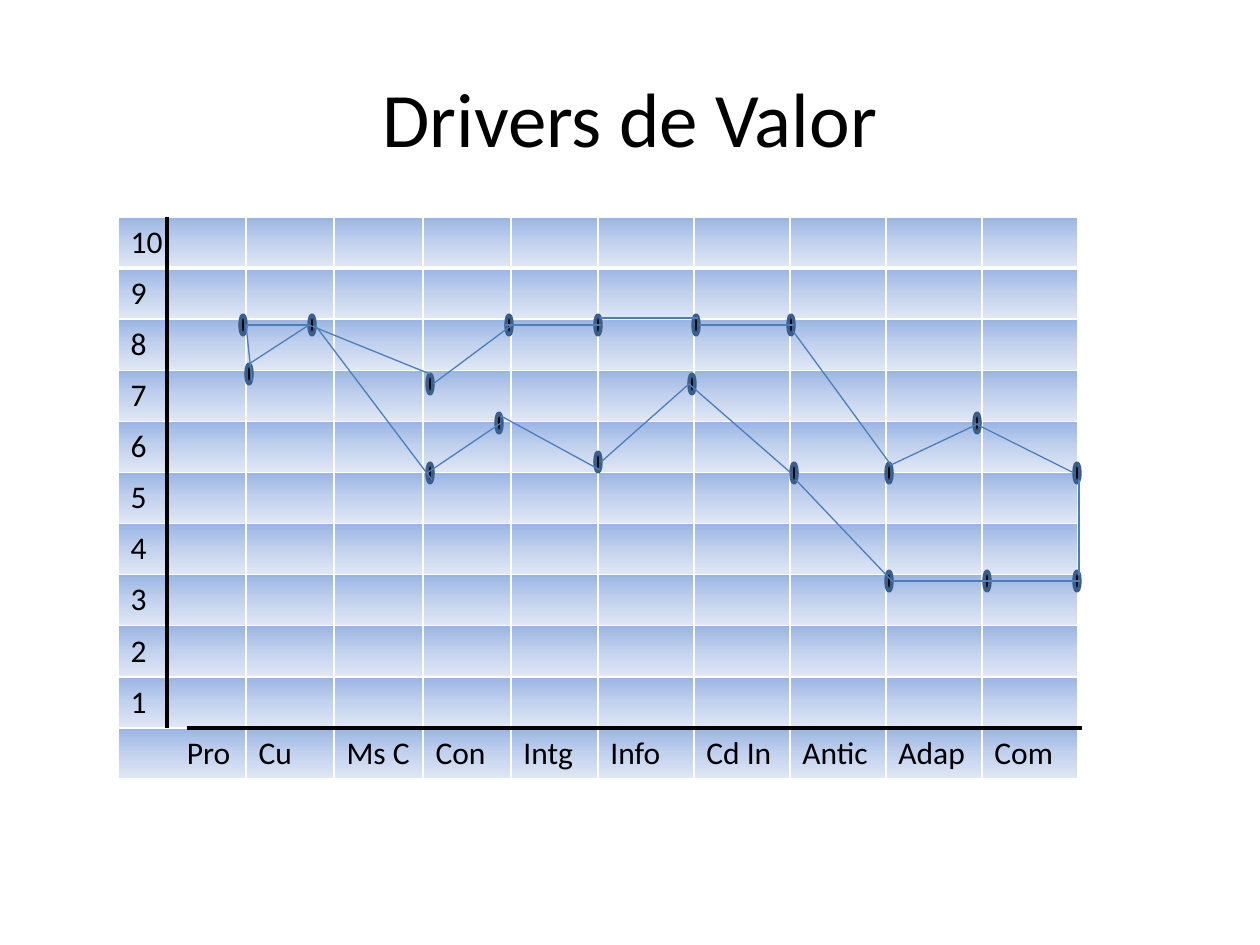
from lxml.etree import SubElement
from pptx import Presentation
from pptx.dml.color import RGBColor
from pptx.enum.shapes import MSO_CONNECTOR, MSO_SHAPE
from pptx.enum.text import MSO_ANCHOR, PP_ALIGN
from pptx.oxml import parse_xml
from pptx.oxml.ns import nsdecls, qn
from pptx.util import Emu, Pt

BLACK = RGBColor(0x00, 0x00, 0x00)
WHITE = RGBColor(0xFF, 0xFF, 0xFF)
DOT_EDGE = RGBColor(0x3A, 0x5F, 0x8C)
CURVE = RGBColor(0x4B, 0x7E, 0xBC)
CELL_STOPS = [
    (0, RGBColor(0x9A, 0xB5, 0xE4)),
    (50, RGBColor(0xC2, 0xD1, 0xED)),
    (100, RGBColor(0xE1, 0xE8, 0xF5)),
]

GRID_LEFT, GRID_TOP, ROW_H = 118, 217, 51
COL_WIDTHS = [128, 88, 89, 88, 87] + [96] * 5
SCORES = [str(n) for n in range(10, 0, -1)]
DRIVERS = ["Pro", "Cu", "Ms C", "Con", "Intg", "Info", "Cd In", "Antic", "Adap", "Com"]
PRO_INDENT = 69

DOT_W, DOT_H = 6, 20
DOT_CENTRES = [
    (249, 374), (243, 325), (312, 325), (430, 473), (430, 384), (499, 423),
    (509, 325), (598, 462), (598, 325), (692, 384), (696, 325), (794, 473),
    (791, 325), (889, 581), (889, 473), (987, 581), (977, 423), (1077, 473),
    (1077, 581),
]
AXES = [(167, 217, 167, 728), (1082, 728, 187, 728)]
UPPER_CURVE = [
    (246, 325, 309, 325), (309, 325, 430, 374), (433, 384, 512, 325),
    (505, 325, 601, 325), (600, 318, 698, 318), (699, 325, 794, 325),
    (793, 331, 891, 465), (980, 423, 891, 465), (1074, 473, 974, 423),
]
LOWER_CURVE = [
    (249, 364, 309, 325), (315, 325, 432, 480), (501, 416, 600, 470),
    (427, 473, 501, 423), (689, 384, 791, 473), (601, 462, 689, 384),
    (796, 480, 892, 581), (892, 581, 990, 581), (990, 581, 1080, 581),
]
END_LINKS = [(246, 325, 252, 381), (1079, 480, 1079, 575)]


def px(n):
    return Emu(round(n * 914400 / 126))


def set_text(tf, text, size=18, align=PP_ALIGN.LEFT, color=BLACK):
    p = tf.paragraphs[0]
    p.alignment = align
    r = p.add_run()
    r.text = text
    r.font.name = "Calibri"
    r.font.size = Pt(size)
    r.font.color.rgb = color


def add_title(s, text):
    sp = s.shapes.title
    sp.left, sp.top, sp.width, sp.height = px(63), px(38), px(1134), px(157)
    sp.text_frame.vertical_anchor = MSO_ANCHOR.MIDDLE
    set_text(sp.text_frame, text, size=44, align=PP_ALIGN.CENTER)


def style_cell(cell, top=1, bottom=1):
    """White borders (widths in points) and a vertical gradient."""
    tc_pr = cell._tc.get_or_add_tcPr()
    for side, width in (("L", 1), ("R", 1), ("T", top), ("B", bottom)):
        ln = SubElement(tc_pr, qn(f"a:ln{side}"), w=str(Pt(width)))
        fill = SubElement(ln, qn("a:solidFill"))
        SubElement(fill, qn("a:srgbClr"), val=str(WHITE))
    stops = "".join(
        f'<a:gs pos="{pos * 1000}"><a:srgbClr val="{color}"/></a:gs>'
        for pos, color in CELL_STOPS
    )
    tc_pr.append(parse_xml(
        f'<a:gradFill {nsdecls("a")} rotWithShape="1"><a:gsLst>{stops}</a:gsLst>'
        '<a:lin ang="5400000" scaled="0"/></a:gradFill>'
    ))


def add_grid(s):
    rows = len(SCORES) + 1
    table = s.shapes.add_table(
        rows, len(DRIVERS), px(GRID_LEFT), px(GRID_TOP),
        px(sum(COL_WIDTHS)), px(rows * ROW_H),
    ).table
    table.first_row = table.horz_banding = False
    for col, width in zip(table.columns, COL_WIDTHS):
        col.width = px(width)
    for i, row in enumerate(table.rows):
        row.height = px(ROW_H)
        for cell in row.cells:
            style_cell(cell, top=3 if i == 1 else 1, bottom=3 if i == 0 else 1)
    for i, score in enumerate(SCORES):
        set_text(table.cell(i, 0).text_frame, score)
    for j, driver in enumerate(DRIVERS):
        set_text(table.cell(rows - 1, j).text_frame, driver)
    table.cell(rows - 1, 0).margin_left = px(PRO_INDENT)


def add_line(s, ends, color, width):
    line = s.shapes.add_connector(MSO_CONNECTOR.STRAIGHT, *map(px, ends))
    line.line.color.rgb = color
    line.line.width = Pt(width)
    SubElement(line._element.spPr, qn("a:effectLst"))


def add_dot(s, x, y):
    sp = s.shapes.add_shape(
        MSO_SHAPE.OVAL, px(x - DOT_W // 2), px(y - DOT_H // 2), px(DOT_W), px(DOT_H)
    )
    sp.shadow.inherit = False
    sp.fill.solid()
    sp.fill.fore_color.rgb = BLACK
    sp.line.color.rgb = DOT_EDGE
    sp.line.width = Pt(2)


def main():
    prs = Presentation()
    prs.slide_width, prs.slide_height = px(1260), px(945)
    s = prs.slides.add_slide(prs.slide_layouts[5])
    add_title(s, "Drivers de Valor")
    add_grid(s)
    for ends in AXES:
        add_line(s, ends, BLACK, 2)
    for x, y in DOT_CENTRES:
        add_dot(s, x, y)
    for ends in UPPER_CURVE + LOWER_CURVE + END_LINKS:
        add_line(s, ends, CURVE, 0.75)
    prs.save("out.pptx")


if __name__ == "__main__":
    main()
